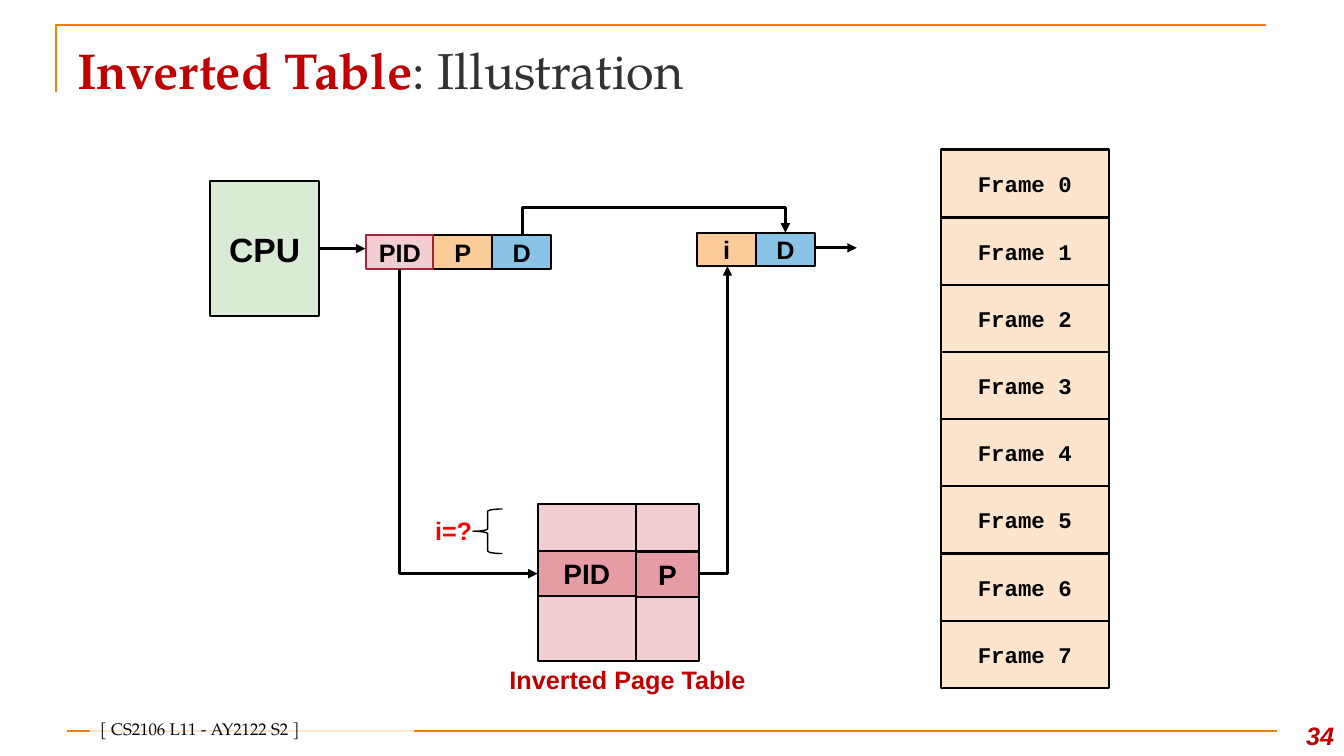
from dataclasses import dataclass

from lxml import etree
from pptx import Presentation
from pptx.dml.color import RGBColor
from pptx.enum.dml import MSO_FILL
from pptx.enum.shapes import MSO_CONNECTOR, MSO_SHAPE
from pptx.enum.text import MSO_ANCHOR, PP_ALIGN
from pptx.oxml.ns import qn
from pptx.util import Inches, Pt

RECT, BRACE = MSO_SHAPE.RECTANGLE, MSO_SHAPE.LEFT_BRACE
STRAIGHT, ELBOW = MSO_CONNECTOR.STRAIGHT, MSO_CONNECTOR.ELBOW
LEFT, CENTER, RIGHT = PP_ALIGN.LEFT, PP_ALIGN.CENTER, PP_ALIGN.RIGHT
MIDDLE, BOTTOM = MSO_ANCHOR.MIDDLE, MSO_ANCHOR.BOTTOM
SOLID = MSO_FILL.SOLID
COLS, ROWS = 160, 90


@dataclass(frozen=True)
class Theme:
    serif: str = "TeX Gyre Pagella"
    sans: str = "Arial"
    mono: str = "Courier New"
    ink: str = "000000"
    title: str = "323232"
    accent: str = "C00000"
    rule: str = "F07F09"
    cpu: str = "D9EAD5"
    page: str = "FBCC9A"
    offset: str = "89C3E5"
    pid: str = "F2CED2"
    pid_line: str = "9F2936"
    match: str = "E69CA4"
    query: str = "FF0000"
    memory: str = "F2F2F2"
    frame: str = "FDE5CD"
    white: str = "FFFFFF"
    title_pt: int = 36
    cpu_pt: int = 24
    entry_pt: int = 20
    label_pt: int = 18
    frame_pt: int = 16
    footer_pt: int = 12
    outline: float = 1.5
    arrow: float = 2.25


T = Theme()
prs = Presentation()
prs.slide_width, prs.slide_height = Inches(13.333), Inches(7.5)
s = prs.slides.add_slide(prs.slide_layouts[6])


def gx(col):
    return int(prs.slide_width * col / COLS)


def gy(row):
    return int(prs.slide_height * row / ROWS)


def rgb(color):
    return RGBColor.from_string(color)


def write(sp, runs, size, font=T.sans, align=CENTER, anchor=MIDDLE, inset=0.0, italic=False):
    tf = sp.text_frame
    tf.word_wrap = True
    tf.vertical_anchor = anchor
    tf.margin_left = tf.margin_right = Inches(inset)
    tf.margin_top = tf.margin_bottom = Inches(inset / 2)
    p = tf.paragraphs[0]
    p.alignment = align
    for text, color, bold in runs:
        r = p.add_run()
        r.text = text
        r.font.name, r.font.size = font, Pt(size)
        r.font.bold, r.font.italic = bold, italic
        r.font.color.rgb = rgb(color)


def label(x, y, w, h, runs, size, **style):
    write(s.shapes.add_textbox(gx(x), gy(y), gx(w), gy(h)), runs, size, **style)


def shape(x, y, w, h, fill=None, line=T.ink, text="", size=T.label_pt, font=T.sans,
          kind=RECT, width=T.outline):
    sp = s.shapes.add_shape(kind, gx(x), gy(y), gx(w), gy(h))
    sp.shadow.inherit = False
    if fill:
        sp.fill.solid()
        sp.fill.fore_color.rgb = rgb(fill)
    else:
        sp.fill.background()
    if line:
        sp.line.color.rgb = rgb(line)
        sp.line.width = Pt(width)
    else:
        sp.line.fill.background()
    if text:
        write(sp, [(text, T.ink, True)], size, font)
    return sp


def connector(kind, x1, y1, x2, y2, color=T.ink, width=T.arrow, head=True):
    c = s.shapes.add_connector(kind, gx(x1), gy(y1), gx(x2), gy(y2))
    c.line.color.rgb = rgb(color)
    c.line.width = Pt(width)
    if head:
        etree.SubElement(c.line._get_or_add_ln(), qn("a:tailEnd"), type="triangle")
    etree.SubElement(c._element.spPr, qn("a:effectLst"))
    return c


def elbow(start, end, preset, rot=0, flip_h=False, flip_v=False, bend=None):
    (x1, y1), (x2, y2) = start, end
    cx, cy = (x1 + x2) / 2, (y1 + y2) / 2
    dx, dy = abs(x2 - x1) / 2, abs(y2 - y1) / 2
    if rot:
        dx, dy = dy, dx
    if flip_h:
        dx = -dx
    if flip_v:
        dy = -dy
    c = connector(ELBOW, cx - dx, cy - dy, cx + dx, cy + dy)
    c._element.spPr.find(qn("a:xfrm")).set("rot", str(rot * 60000))
    geom = c._element.spPr.find(qn("a:prstGeom"))
    geom.set("prst", preset)
    if bend:
        etree.SubElement(geom.find(qn("a:avLst")), qn("a:gd"),
                         name="adj1", fmla=f"val {round(bend * 100000)}")


def header(x, y, w, h):
    fb = s.shapes.build_freeform(gx(x), gy(y + 8))
    fb.add_line_segments([(gx(x), gy(y)), (gx(x + w), gy(y))], close=False)
    sp = fb.convert_to_shape()
    sp.shadow.inherit = False
    sp.fill.background()
    sp.line.color.rgb = rgb(T.rule)
    sp.line.width = Pt(T.outline)
    runs = [("Inverted Table", T.accent, True), (": Illustration", T.title, False)]
    label(x + 1.3, y + 0.6, w, h, runs, T.title_pt, font=T.serif, align=LEFT, inset=0.1)


def footer(x, y, w, h):
    connector(STRAIGHT, x, y + 3, x + 144, y + 3, T.rule, T.outline, head=False)
    sp = shape(x + 2.7, y + 1.6, 38.6, 3, T.white, None)
    if sp.fill.type == SOLID:
        clr = sp._element.spPr.find(qn("a:solidFill"))[0]
        etree.SubElement(clr, qn("a:alpha"), val="80000")
    write(sp, [("[ CS2106 L11 - AY2122 S2 ]", T.ink, False)], T.footer_pt,
          font=T.serif, align=LEFT, anchor=BOTTOM, inset=0.1)
    label(x + w - 9.3, y, 9.3, h, [("34", T.accent, True)], T.label_pt,
          align=RIGHT, anchor=BOTTOM, inset=0.1, italic=True)


def cpu(x, y, w, h):
    shape(x, y, w, h, T.cpu, text="CPU", size=T.cpu_pt)
    connector(STRAIGHT, x + w, y + 8, x + w + 5.5, y + 8)


def virtual_address(x, y, w, h):
    part = (w - 8) / 2
    shape(x + 8, y, part, h, T.page, text="P")
    shape(x + 8 + part, y, part, h, T.offset, text="D")
    shape(x, y, 8, h, T.pid, T.pid_line, "PID")


def physical_address(x, y, w, h):
    for i, (text, fill) in enumerate((("i", T.page), ("D", T.offset))):
        shape(x + i * w / 2, y, w / 2, h, fill, text=text)
    connector(STRAIGHT, x + w, y + 1.8, x + w + 5, y + 1.8)


def physical_memory(x, y, w, h, frames=8):
    shape(x, y - 0.1, w, h, T.memory)
    for i in range(frames):
        shape(x, y + i * h / frames, w, h / frames, T.frame,
              text=f"Frame {i}", size=T.frame_pt, font=T.mono)


def inverted_table(x, y, w, h):
    split = w * 0.61
    columns = (("P", x + split, w - split, 5.65), ("PID", x, split, 5.55))
    for text, left, width, top in columns:
        shape(left, y, width, h, T.pid)
        shape(left, y + top, width, 5.4, T.match, text=text, size=T.entry_pt)
    label(x - 5.3, y + h - 0.8, 32, 5.9,
          [("Inverted Page Table", T.accent, True)], T.label_pt)
    shape(x - 7.7, y + 0.6, 3.5, 5.3, kind=BRACE, width=1)
    label(x - 14.3, y + 0.1, 8.6, 6.1, [("i=?", T.query, True)], T.label_pt)


def lookup_arrows(x, y, w, h):
    elbow((x + 14.6, y + 0.3), (x + w, y), "bentConnector3", 90, True, True, bend=11)
    elbow((x + 35.6, y + h), (x + 39, y + 4), "bentConnector2", flip_v=True)
    elbow((x, y + 4.3), (x + 16.4, y + h), "bentConnector2", 270, flip_h=True)


header(6.7, 3, 144, 9.4)
footer(8, 84, 152, 6)
cpu(25, 21.6, 13, 16)
virtual_address(43.6, 28, 22, 4)
physical_address(83, 27.7, 14, 4)
lookup_arrows(47.6, 27.7, 45.9, 40.6)
physical_memory(112, 17.9, 20, 64)
inverted_table(64, 60, 19.2, 18.7)
prs.save("out.pptx")
